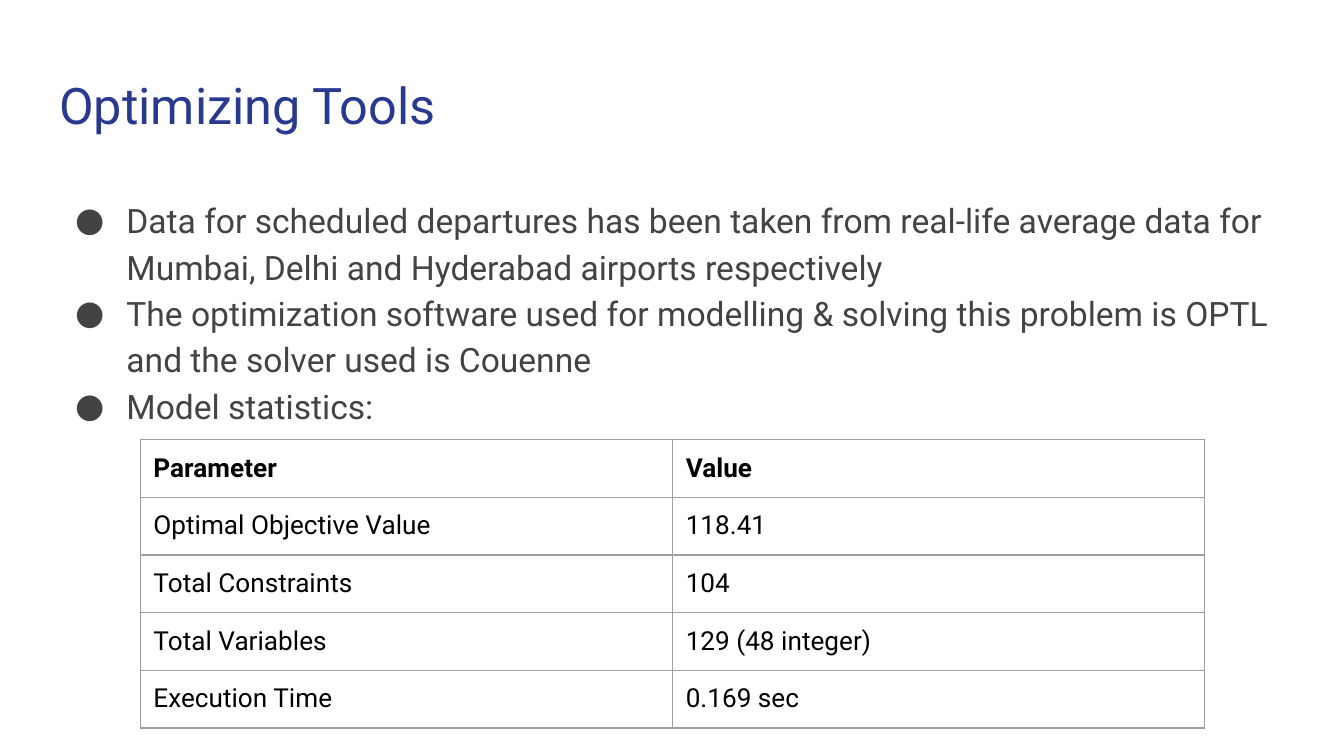
from lxml import etree
from pptx import Presentation
from pptx.dml.color import RGBColor
from pptx.enum.text import MSO_ANCHOR, MSO_AUTO_SIZE, PP_ALIGN
from pptx.oxml.ns import qn
from pptx.util import Cm, Pt

LEFT = PP_ALIGN.LEFT
TOP = MSO_ANCHOR.TOP
NO_FIT = MSO_AUTO_SIZE.NONE

COLORS = {"title": "2A3990", "body": "434343", "cell": "000000", "line": "9E9E9E"}

POINTS = [
    "Data for scheduled departures has been taken from real-life average data for "
    "Mumbai, Delhi and Hyderabad airports respectively",
    "The optimization software used for modelling & solving this problem is OPTL "
    "and the solver used is Couenne",
    "Model statistics:",
]
STATS = [
    ("Parameter", "Value"),
    ("Optimal Objective Value", "118.41"),
    ("Total Constraints", "104"),
    ("Total Variables", "129 (48 integer)"),
    ("Execution Time", "0.169 sec"),
]


class Deck:
    face = "Roboto"
    pad = Cm(0.25)

    def __init__(self, wide, high):
        self.prs = Presentation()
        self.prs.slide_width, self.prs.slide_height = wide, high
        self.slide = self.prs.slides.add_slide(self.prs.slide_layouts[1])

    def style(self, para, size, color, bold=False):
        para.alignment = LEFT
        para.space_before = Pt(0)
        font = para.font
        font.name, font.size, font.bold = self.face, Pt(size), bold
        font.color.rgb = RGBColor.from_string(COLORS[color])

    def inset(self, item):
        """Give a frame or a cell the common margins and top anchor."""
        item.margin_left = item.margin_right = self.pad
        item.margin_top = item.margin_bottom = self.pad
        item.vertical_anchor = TOP

    def place(self, shape, x, y, w, h):
        shape.left, shape.top, shape.width, shape.height = x, y, w, h
        frame = shape.text_frame
        frame.word_wrap = True
        frame.auto_size = NO_FIT
        self.inset(frame)
        return frame

    def title(self, text, *box):
        frame = self.place(self.slide.shapes.title, *box)
        frame.text = text
        self.style(frame.paragraphs[0], 27, "title")

    def bullet(self, para):
        props = para._p.get_or_add_pPr()
        props.set("marL", str(Cm(1.27)))
        props.set("indent", str(Cm(-0.97)))
        tint = etree.SubElement(props, qn("a:buClr"))
        etree.SubElement(tint, qn("a:srgbClr"), val=COLORS["body"])
        etree.SubElement(props, qn("a:buSzPts"), val="1800")
        etree.SubElement(props, qn("a:buFont"), typeface=self.face)
        etree.SubElement(props, qn("a:buChar"), char="●")

    def points(self, lines, *box):
        frame = self.place(self.slide.placeholders[1], *box)
        frame.text = "\n".join(lines)
        for para in frame.paragraphs:
            self.bullet(para)
            para.line_spacing = 1.15
            self.style(para, 18, "body")

    def border(self, cell):
        props = cell._tc.get_or_add_tcPr()
        for side in ("lnL", "lnR", "lnT", "lnB"):
            line = etree.SubElement(props, qn(f"a:{side}"), w=str(Pt(0.75)))
            fill = etree.SubElement(line, qn("a:solidFill"))
            etree.SubElement(fill, qn("a:srgbClr"), val=COLORS["line"])

    def table(self, rows, x, y, col, row):
        count, cols = len(rows), len(rows[0])
        frame = self.slide.shapes.add_table(count, cols, x, y, col * cols, row * count)
        grid = frame.table
        grid.first_row = grid.horz_banding = False
        for r, texts in enumerate(rows):
            for c, text in enumerate(texts):
                cell = grid.cell(r, c)
                cell.text = text
                self.inset(cell)
                self.border(cell)
                cell.fill.background()
                self.style(cell.text_frame.paragraphs[0], 14, "cell", bold=r == 0)


def main():
    deck = Deck(Cm(25.4), Cm(14.29))
    deck.title("Optimizing Tools", Cm(0.87), Cm(1.15), Cm(23.67), Cm(1.68))
    deck.points(POINTS, Cm(0.87), Cm(3.42), Cm(23.67), Cm(9.8))
    deck.table(STATS, Cm(2.65), Cm(8.31), Cm(10.06), Cm(1.09))
    deck.prs.save("out.pptx")


if __name__ == "__main__":
    main()
